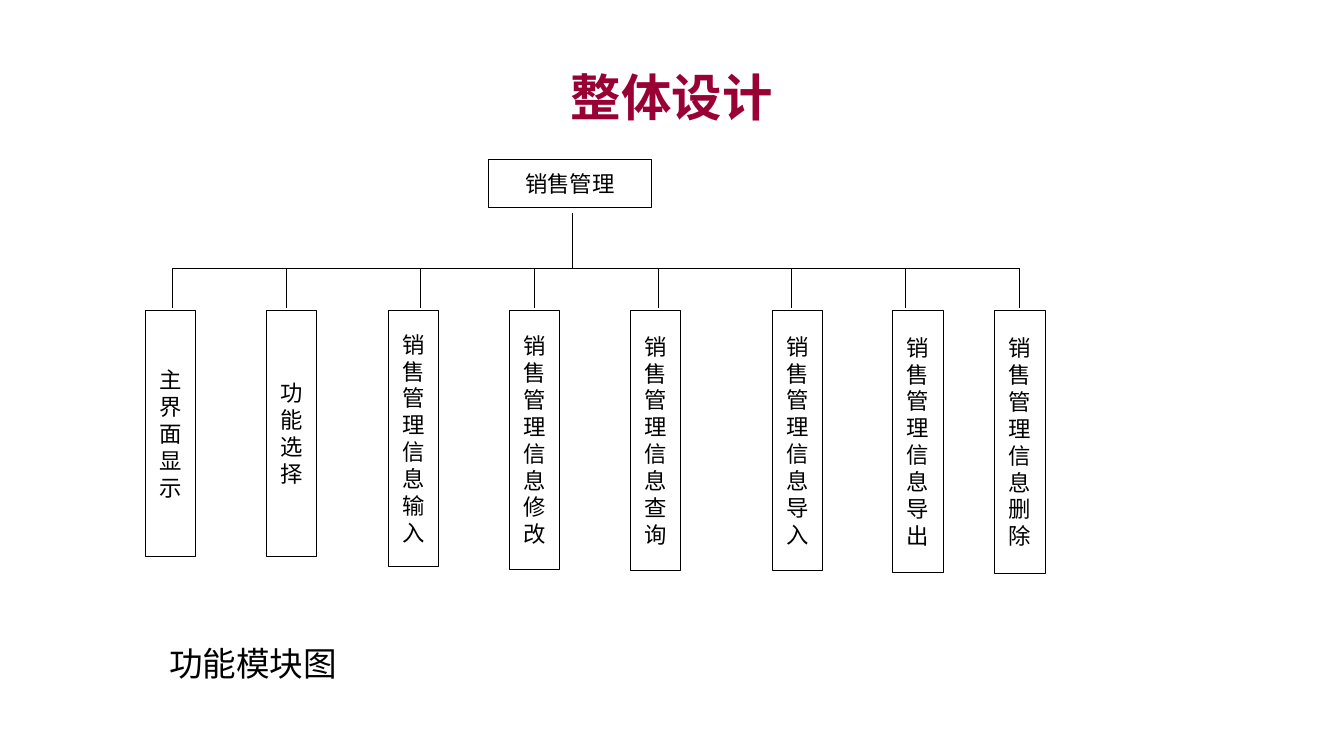
from lxml.etree import SubElement
from pptx import Presentation
from pptx.dml.color import RGBColor
from pptx.enum.shapes import MSO_CONNECTOR, MSO_SHAPE
from pptx.enum.text import MSO_ANCHOR, MSO_AUTO_SIZE, PP_ALIGN
from pptx.oxml.ns import qn
from pptx.util import Cm, Pt

BLACK = "000000"
CRIMSON = "990033"

# label, left offset, height, offset of the line above it (cm)
MODULES = [
    ("主界面显示", 0, 6.2, 0.68),
    ("功能选择", 3.05, 6.2, 3.55),
    ("销售管理信息输入", 6.12, 6.45, 6.93),
    ("销售管理信息修改", 9.17, 6.53, 9.8),
    ("销售管理信息查询", 12.22, 6.55, 12.93),
    ("销售管理信息导入", 15.8, 6.55, 16.28),
    ("销售管理信息导出", 18.84, 6.6, 19.17),
    ("销售管理信息删除", 21.41, 6.63, 22.04),
]


def color(hex_string):
    return RGBColor.from_string(hex_string)


def write(shape, text, size, font, hex_color=BLACK, align=PP_ALIGN.CENTER, bold=False):
    """Fill a shape with text in one format, one paragraph per line."""
    shape.text_frame.text = text
    for paragraph in shape.text_frame.paragraphs:
        paragraph.alignment = align
        for run in paragraph.runs:
            run.font.size = Pt(size)
            run.font.name = font
            run.font.bold = bold
            run.font.color.rgb = color(hex_color)
            east_asian = SubElement(run.font._element, qn("a:ea"))
            east_asian.set("typeface", "Noto Sans CJK SC")


def add_box(slide, left, top, width, height, text, wrap):
    shape = slide.shapes.add_shape(
        MSO_SHAPE.RECTANGLE, Cm(left), Cm(top), Cm(width), Cm(height))
    shape.shadow.inherit = False
    shape.fill.background()
    shape.line.color.rgb = color(BLACK)
    shape.line.width = Pt(0.75)
    frame = shape.text_frame
    frame.word_wrap = wrap
    frame.vertical_anchor = MSO_ANCHOR.MIDDLE
    frame.margin_left = frame.margin_right = Cm(0.18)
    frame.margin_top = frame.margin_bottom = Cm(0.1)
    write(shape, text, 16, "Arial")


def add_line(slide, x1, y1, x2, y2):
    connector = slide.shapes.add_connector(
        MSO_CONNECTOR.STRAIGHT, Cm(x1), Cm(y1), Cm(x2), Cm(y2))
    connector.line.color.rgb = color(BLACK)
    connector.line.width = Pt(0.75)
    SubElement(connector._element.spPr, qn("a:effectLst"))


def add_title(slide, left, top, width, height):
    title = slide.shapes.add_textbox(Cm(left), Cm(top), Cm(width), Cm(height))
    title.text_frame.word_wrap = True
    title.text_frame.vertical_anchor = MSO_ANCHOR.MIDDLE
    write(title, "整体设计", 36, "Noto Sans CJK SC", CRIMSON, bold=True)


def add_module_tree(slide, left, top):
    """Place the root box, the branching lines and the vertical module boxes."""
    add_box(slide, left + 8.66, top, 4.09, 1.22, "销售管理", True)
    bus_y = top + 2.75
    trunk_x = left + 10.77
    add_line(slide, trunk_x, top + 1.35, trunk_x, bus_y)
    add_line(slide, left + MODULES[0][3], bus_y, left + MODULES[-1][3], bus_y)
    for label, offset, height, drop in MODULES:
        add_line(slide, left + drop, bus_y, left + drop, bus_y + 1.01)
        add_box(slide, left + offset, top + 3.81, 1.27, height, "\n".join(label), False)


def add_caption(slide, left, top, width, height):
    caption = slide.shapes.add_textbox(Cm(left), Cm(top), Cm(width), Cm(height))
    caption.text_frame.word_wrap = False
    caption.text_frame.auto_size = MSO_AUTO_SIZE.SHAPE_TO_FIT_TEXT
    write(caption, "功能模块图", 24, "Times New Roman", align=PP_ALIGN.LEFT)


def main():
    presentation = Presentation()
    presentation.slide_width = Cm(33.87)
    presentation.slide_height = Cm(19.05)
    slide = presentation.slides.add_slide(presentation.slide_layouts[6])
    add_title(slide, 2.54, 1.47, 28.78, 1.91)
    add_module_tree(slide, 3.66, 4.01)
    add_caption(slide, 4.01, 16.08, 4.78, 1.27)
    presentation.save("out.pptx")


if __name__ == "__main__":
    main()
